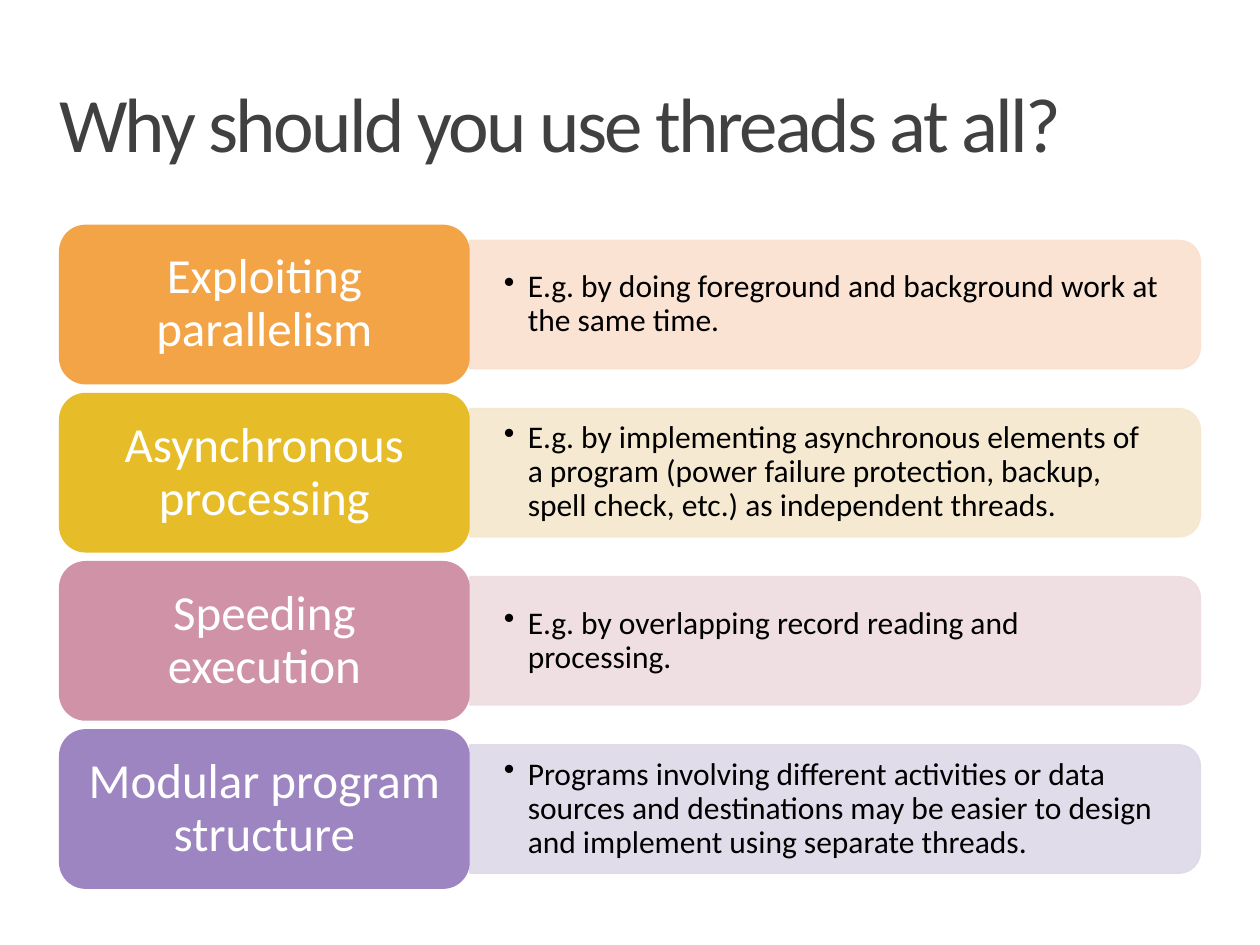
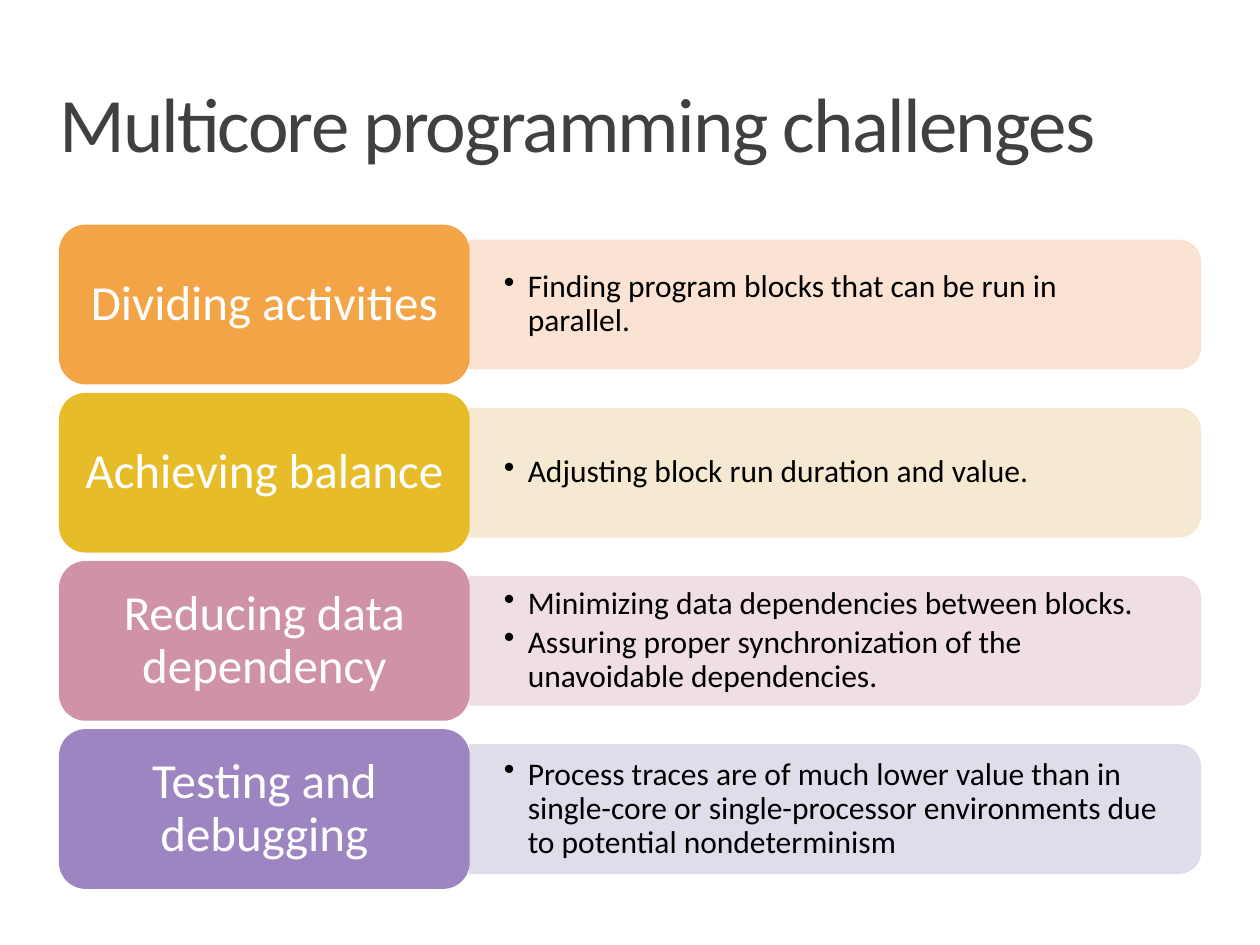
"""Build two slides on threads and multicore programming as rows of labelled cards."""
import pptx
import pptx.dml.color
import pptx.enum.shapes
import pptx.enum.text
import pptx.oxml
import pptx.oxml.ns
import pptx.util
from lxml import etree

Cm = pptx.util.Cm
Pt = pptx.util.Pt
RGBColor = pptx.dml.color.RGBColor
MSO_SHAPE = pptx.enum.shapes.MSO_SHAPE
MSO_ANCHOR = pptx.enum.text.MSO_ANCHOR
PP_ALIGN = pptx.enum.text.PP_ALIGN
qn = pptx.oxml.ns.qn

SLIDES = [
    {
        "title": "Why should you use threads at all?",
        "tracking": -1.5,
        "rows": [
            ("Exploiting parallelism",
             ["E.g. by doing foreground and background work at the same time."]),
            ("Asynchronous processing",
             ["E.g. by implementing asynchronous elements of a program (power failure "
              "protection, backup, spell check, etc.) as independent threads."]),
            ("Speeding execution",
             ["E.g. by overlapping record reading and processing."]),
            ("Modular program structure",
             ["Programs involving different activities or data sources and destinations "
              "may be easier to design and implement using separate threads."]),
        ],
    },
    {
        "title": "Multicore programming challenges",
        "tracking": -1,
        "rows": [
            ("Dividing activities",
             ["Finding program blocks that can be run in parallel."]),
            ("Achieving balance",
             ["Adjusting block run duration and value."]),
            ("Reducing data dependency",
             ["Minimizing data dependencies between blocks.",
              "Assuring proper synchronization of the unavoidable dependencies."]),
            ("Testing and debugging",
             ["Process traces are of much lower value than in single-core or "
              "single-processor environments due to potential nondeterminism"]),
        ],
    },
]

FONT = "Calibri"
TITLE_GREY = RGBColor(0x40, 0x40, 0x40)
WHITE = RGBColor(0xFF, 0xFF, 0xFF)
BLACK = RGBColor(0x00, 0x00, 0x00)
ROW_COLOURS = [
    (RGBColor(0xF3, 0xA4, 0x47), RGBColor(0xFA, 0xE0, 0xCF)),
    (RGBColor(0xE7, 0xBC, 0x29), RGBColor(0xF6, 0xE7, 0xCD)),
    (RGBColor(0xD0, 0x92, 0xA7), RGBColor(0xEE, 0xDC, 0xE1)),
    (RGBColor(0x9C, 0x85, 0xC0), RGBColor(0xDE, 0xD9, 0xE8)),
]
PANEL_OPACITY = 90

LEFT, WIDTH = Cm(1.19), Cm(23.01)
TITLE_TOP, TITLE_HEIGHT = Cm(1.78), Cm(2.01)
ROWS_TOP, ROW_PITCH = Cm(4.53), Cm(3.39)
LABEL_WIDTH, LABEL_HEIGHT = Cm(8.28), Cm(3.22)
PANEL_LEFT = LEFT + LABEL_WIDTH
PANEL_WIDTH, PANEL_HEIGHT = WIDTH - LABEL_WIDTH, Cm(2.59)
DETAIL_WIDTH, DETAIL_HEIGHT = Cm(14.61), Cm(2.34)
BULLET_INDENT = Cm(0.48)


def set_frame(frame, anchor, side, top, bottom):
    frame.word_wrap = True
    frame.auto_size = pptx.enum.text.MSO_AUTO_SIZE.NONE
    frame.vertical_anchor = anchor
    frame.margin_left = frame.margin_right = Cm(side)
    frame.margin_top, frame.margin_bottom = Cm(top), Cm(bottom)


def style_paragraph(paragraph, size, colour, align, spacing=0.9):
    paragraph.alignment = align
    paragraph.line_spacing = spacing
    paragraph.font.name = FONT
    paragraph.font.size = Pt(size)
    paragraph.font.color.rgb = colour


def add_bullet(paragraph):
    properties = paragraph._p.get_or_add_pPr()
    properties.set("marL", str(BULLET_INDENT))
    properties.set("indent", str(-BULLET_INDENT))
    bullet = etree.Element(qn("a:buChar"), char="•")
    properties.find(qn("a:defRPr")).addprevious(bullet)


def add_title(slide, text, tracking):
    title = slide.shapes.title
    title.left, title.top, title.width, title.height = LEFT, TITLE_TOP, WIDTH, TITLE_HEIGHT
    set_frame(title.text_frame, MSO_ANCHOR.TOP, 0, 0.1, 0)
    title.text_frame.text = text
    paragraph = title.text_frame.paragraphs[0]
    style_paragraph(paragraph, 44, TITLE_GREY, PP_ALIGN.LEFT, 0.8)
    paragraph.runs[0]._r.get_or_add_rPr().set("spc", str(int(tracking * 100)))


def add_panel(slide, middle, tint):
    left = PANEL_LEFT + (PANEL_WIDTH - PANEL_HEIGHT) // 2
    panel = slide.shapes.add_shape(MSO_SHAPE.ROUND_2_SAME_RECTANGLE, left,
                                   middle - PANEL_WIDTH // 2, PANEL_HEIGHT, PANEL_WIDTH)
    panel.rotation = 90
    panel.shadow.inherit = False
    panel.fill.solid()
    panel.fill.fore_color.rgb = tint
    panel.line.color.rgb = tint
    panel.line.width = Pt(0.75)
    for colour in panel._element.spPr.iter(qn("a:srgbClr")):
        etree.SubElement(colour, qn("a:alpha"), val=str(PANEL_OPACITY * 1000))


def add_details(slide, middle, details):
    box = slide.shapes.add_textbox(PANEL_LEFT, middle - DETAIL_HEIGHT // 2,
                                   DETAIL_WIDTH, DETAIL_HEIGHT)
    frame = box.text_frame
    set_frame(frame, MSO_ANCHOR.MIDDLE, 0.69, 0.35, 0.35)
    frame.text = "\n".join(details)
    for paragraph in frame.paragraphs:
        style_paragraph(paragraph, 18, BLACK, PP_ALIGN.LEFT)
        paragraph.level = 1
        paragraph.space_after = Pt(2.7)
        add_bullet(paragraph)


def add_label(slide, middle, text, colour):
    label = slide.shapes.add_shape(MSO_SHAPE.ROUNDED_RECTANGLE, LEFT,
                                   middle - LABEL_HEIGHT // 2, LABEL_WIDTH, LABEL_HEIGHT)
    label.shadow.inherit = False
    label.fill.solid()
    label.fill.fore_color.rgb = colour
    label.line.fill.background()
    set_frame(label.text_frame, MSO_ANCHOR.MIDDLE, 0.3, 0.15, 0.15)
    label.text_frame.text = text
    style_paragraph(label.text_frame.paragraphs[0], 28, WHITE, PP_ALIGN.CENTER)


def main():
    deck = pptx.Presentation()
    deck.slide_width, deck.slide_height = Cm(25.4), Cm(19.05)
    for content in SLIDES:
        slide = deck.slides.add_slide(deck.slide_layouts[5])
        add_title(slide, content["title"], content["tracking"])
        for index, ((label, details), (colour, tint)) in enumerate(
                zip(content["rows"], ROW_COLOURS)):
            middle = ROWS_TOP + index * ROW_PITCH + LABEL_HEIGHT // 2
            add_panel(slide, middle, tint)
            add_details(slide, middle, details)
            add_label(slide, middle, label, colour)
    deck.save("out.pptx")


if __name__ == "__main__":
    main()
